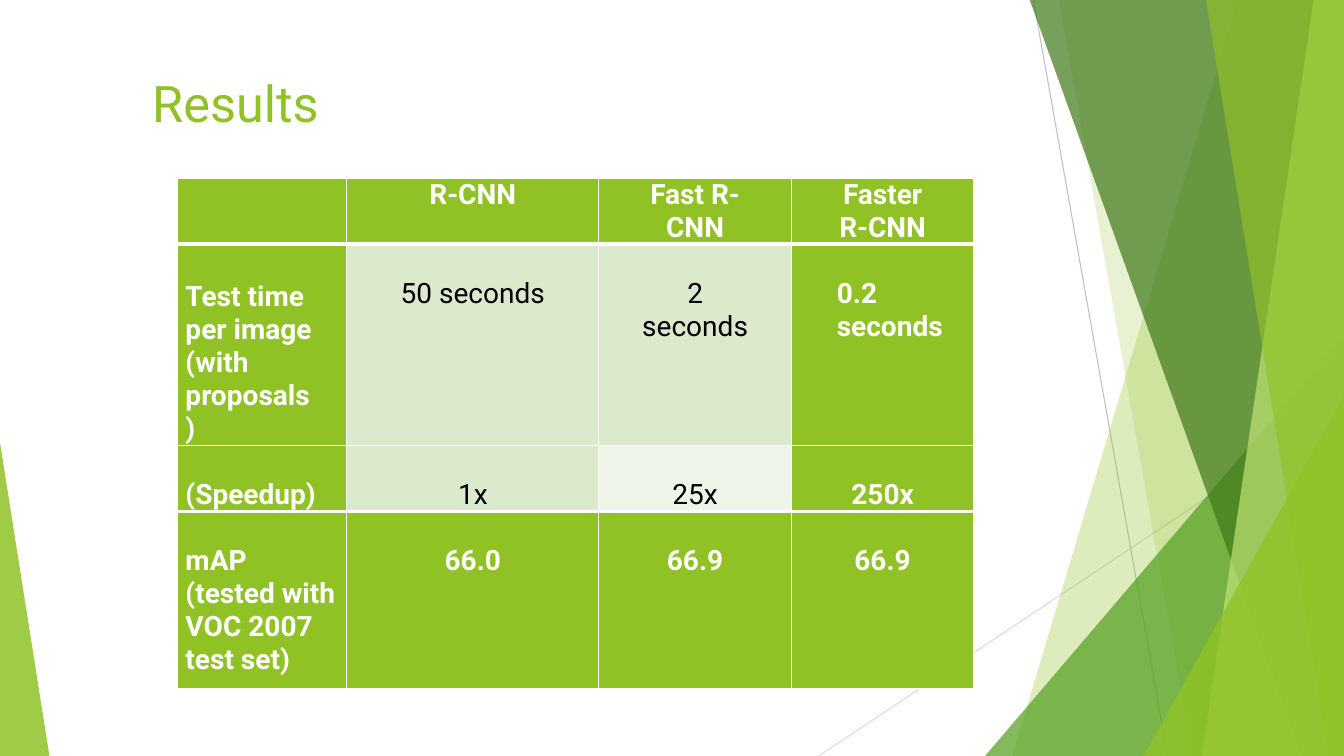
from dataclasses import dataclass

from lxml.etree import SubElement
from pptx import Presentation
from pptx.dml.color import RGBColor
from pptx.enum.shapes import MSO_CONNECTOR, MSO_SHAPE
from pptx.enum.text import MSO_ANCHOR, PP_ALIGN
from pptx.oxml.ns import qn
from pptx.util import Inches, Pt

WHITE = RGBColor(0xFF, 0xFF, 0xFF)
BLACK = RGBColor(0, 0, 0)
GREEN = RGBColor(0x90, 0xC2, 0x26)
LEAF = RGBColor(0x54, 0xA0, 0x21)
FOREST = RGBColor(0x3F, 0x78, 0x19)
LIME = RGBColor(0xC0, 0xE4, 0x74)
PALE = RGBColor(0xDB, 0xE9, 0xCD)
PALER = RGBColor(0xEE, 0xF4, 0xE8)
GREY = RGBColor(0xBF, 0xBF, 0xBF)
LIGHT_GREY = RGBColor(0xD9, 0xD9, 0xD9)

FONT = "Roboto"
WIDTH, HEIGHT = 13.33, 7.5
TOP = -0.01


@dataclass
class Ray:
    start: tuple[float, float]
    end: tuple[float, float]
    color: RGBColor


@dataclass
class Facet:
    top_x: float
    bottom_x: float
    color: RGBColor
    opacity: int


@dataclass
class Wedge:
    left: float
    top: float
    width: float
    apex: float
    color: RGBColor
    opacity: int


@dataclass
class Entry:
    text: str
    fill: RGBColor = GREEN
    color: RGBColor = WHITE
    bold: bool = True
    align: PP_ALIGN = PP_ALIGN.CENTER
    left: float = 0.35
    right: float = 0.35
    top: float = 0.33


def label(text: str, right: float = 0.08, top: float = 0.33) -> Entry:
    return Entry(text, align=PP_ALIGN.LEFT, left=0.08, right=right, top=top)


def plain(text: str, fill: RGBColor = PALE) -> Entry:
    return Entry(text, fill, BLACK, False)


RAYS = [
    Ray((10.25, 0), (11.58, HEIGHT), GREY),
    Ray((WIDTH, 4.03), (8.12, HEIGHT), LIGHT_GREY),
]
PANES = [
    Facet(12.28, 10.04, GREEN, 30),
    Facet(10.5, 11.83, GREEN, 20),
    Wedge(9.77, 3.33, 3.56, 1, LEAF, 72),
    Facet(10.21, 12.91, FOREST, 70),
    Facet(13.03, 11.92, LIME, 70),
    Facet(11.96, 13.18, GREEN, 65),
    Wedge(11.34, 3.93, 1.99, 1, GREEN, 80),
    Wedge(0, 4.39, 0.49, 0, GREEN, 85),
]
COLUMNS = [1.68, 2.5, 1.91, 1.81]
ROWS = [0.65, 1.99, 0.65, 1.76]
RESULTS = [
    [Entry("")] + [Entry(name, top=0) for name in ("R-CNN", "Fast R-CNN", "Faster R-CNN")],
    [
        label("Test time per image (with proposals)", right=0.31, top=0.36),
        plain("50 seconds"),
        plain("2 seconds"),
        Entry("0.2 seconds", align=PP_ALIGN.LEFT, left=0.45, right=0),
    ],
    [label("(Speedup)"), plain("1x"), plain("25x", PALER), Entry("250x")],
    [label("mAP (tested with VOC 2007 test set)")]
    + [Entry(score) for score in ("66.0", "66.9", "66.9")],
]
THICK_RULES = {1, 3}


def write(tf, text: str, *, size: float, color: RGBColor, bold: bool = False,
          align: PP_ALIGN = PP_ALIGN.LEFT) -> None:
    tf.word_wrap = True
    p = tf.paragraphs[0]
    p.alignment = align
    r = p.add_run()
    r.text = text
    r.font.name = FONT
    r.font.size = Pt(size)
    r.font.bold = bold
    r.font.color.rgb = color


def paint(sp, color: RGBColor, opacity: int) -> None:
    sp.shadow.inherit = False
    sp.line.fill.background()
    sp.fill.solid()
    sp.fill.fore_color.rgb = color
    rgb = sp.element.spPr.find(qn("a:solidFill")).find(qn("a:srgbClr"))
    SubElement(rgb, qn("a:alpha"), val=str(opacity * 1000))


def draw_ray(s, ray: Ray) -> None:
    points = [Inches(v) for v in ray.start + ray.end]
    line = s.shapes.add_connector(MSO_CONNECTOR.STRAIGHT, *points)
    line.line.color.rgb = ray.color
    line.line.width = Pt(0.75)
    SubElement(line.element.spPr, qn("a:effectLst"))


def draw_facet(s, facet: Facet) -> None:
    corners = [(facet.top_x, TOP), (WIDTH, TOP), (WIDTH, HEIGHT), (facet.bottom_x, HEIGHT)]
    points = [(Inches(x), Inches(y)) for x, y in corners]
    builder = s.shapes.build_freeform(*points[0])
    builder.add_line_segments(points[1:], close=True)
    paint(builder.convert_to_shape(), facet.color, facet.opacity)


def draw_wedge(s, wedge: Wedge) -> None:
    sp = s.shapes.add_shape(
        MSO_SHAPE.ISOSCELES_TRIANGLE, Inches(wedge.left), Inches(wedge.top),
        Inches(wedge.width), Inches(HEIGHT - wedge.top))
    sp.adjustments[0] = wedge.apex
    paint(sp, wedge.color, wedge.opacity)


def add_borders(cell, row: int) -> None:
    tcPr = cell._tc.get_or_add_tcPr()
    widths = {
        "a:lnL": 1,
        "a:lnR": 1,
        "a:lnT": 3 if row in THICK_RULES else 1,
        "a:lnB": 3 if row + 1 in THICK_RULES else 1,
    }
    for tag, width in widths.items():
        ln = SubElement(tcPr, qn(tag), w=str(Pt(width)))
        fill = SubElement(ln, qn("a:solidFill"))
        SubElement(fill, qn("a:srgbClr"), val=str(WHITE))


def fill_cell(cell, entry: Entry, row: int) -> None:
    add_borders(cell, row)
    cell.fill.solid()
    cell.fill.fore_color.rgb = entry.fill
    cell.margin_left = Inches(entry.left)
    cell.margin_right = Inches(entry.right)
    cell.margin_top = Inches(entry.top)
    cell.margin_bottom = 0
    if entry.text:
        write(cell.text_frame, entry.text, size=20, color=entry.color,
              bold=entry.bold, align=entry.align)


def draw_results(s) -> None:
    table = s.shapes.add_table(
        len(ROWS), len(COLUMNS), Inches(1.76), Inches(1.77),
        Inches(sum(COLUMNS)), Inches(sum(ROWS))).table
    table.first_row = False
    table.horz_banding = False
    for column, width in zip(table.columns, COLUMNS):
        column.width = Inches(width)
    for i, height in enumerate(ROWS):
        table.rows[i].height = Inches(height)
        for j, entry in enumerate(RESULTS[i]):
            fill_cell(table.cell(i, j), entry, i)


def main() -> None:
    prs = Presentation()
    prs.slide_width, prs.slide_height = Inches(WIDTH), Inches(HEIGHT)
    s = prs.slides.add_slide(prs.slide_layouts[5])
    for ray in RAYS:
        draw_ray(s, ray)
    for pane in PANES:
        if isinstance(pane, Facet):
            draw_facet(s, pane)
        else:
            draw_wedge(s, pane)
    title = s.shapes.title
    title.left, title.top = Inches(1.41), Inches(0.67)
    title.width, title.height = Inches(11.15), Inches(1.2)
    title.text_frame.vertical_anchor = MSO_ANCHOR.TOP
    write(title.text_frame, "Results", size=36, color=GREEN)
    draw_results(s)
    prs.save("out.pptx")


if __name__ == "__main__":
    main()
